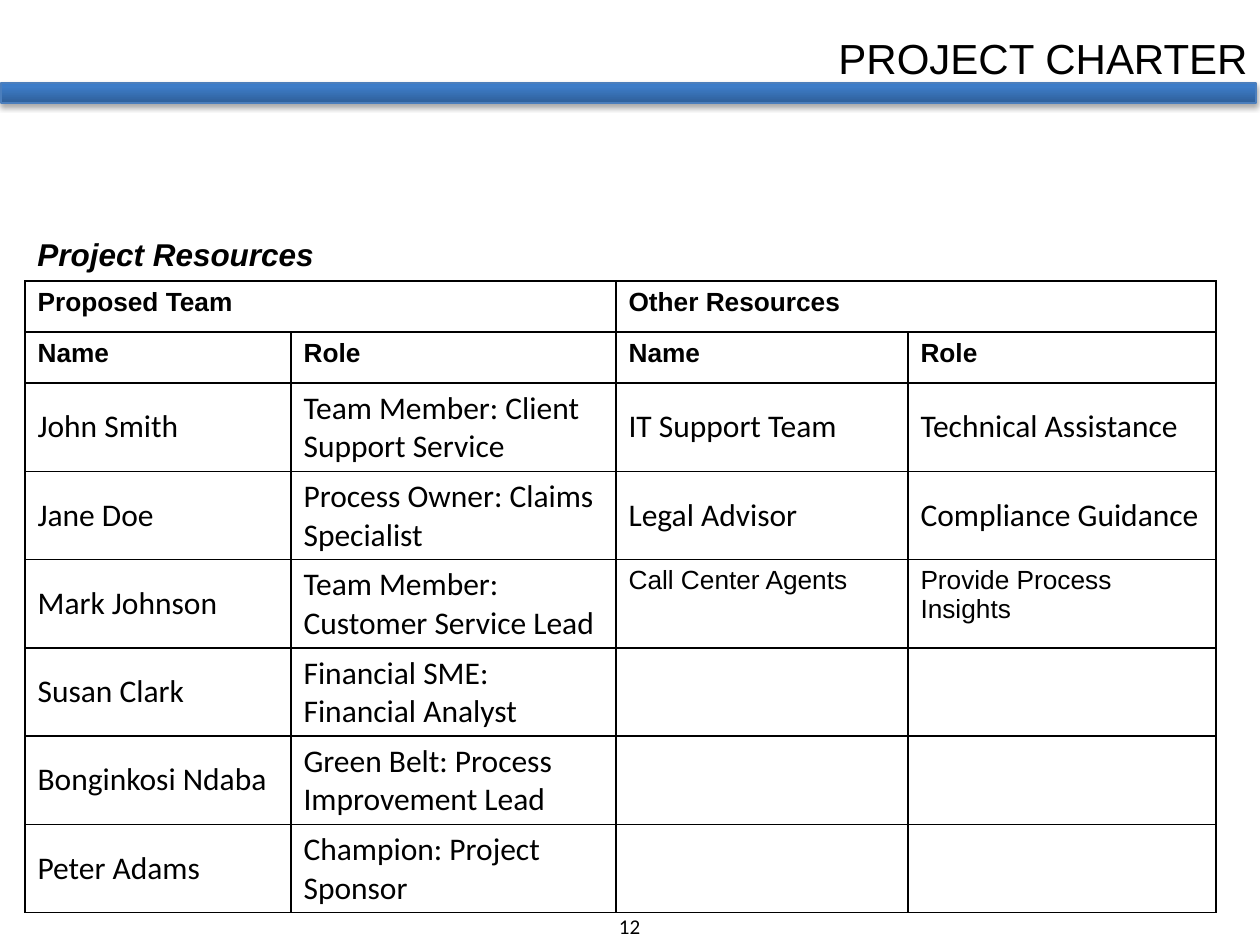
import copy
from dataclasses import dataclass

import pptx
import pptx.dml.color
import pptx.enum.shapes
import pptx.enum.text
import pptx.oxml
import pptx.oxml.ns
import pptx.util

SCALE = 914400 / 126  # EMU in one px
ALIGN = pptx.enum.text.PP_ALIGN
ANCHOR = pptx.enum.text.MSO_ANCHOR
NS = pptx.oxml.ns.nsdecls("a")


@dataclass
class Box:
    left: int
    top: int
    width: int
    height: int

    def emu(self) -> list[int]:
        return [px(n) for n in (self.left, self.top, self.width, self.height)]


@dataclass
class Style:
    font: str
    size: int
    bold: bool = False
    slant: bool = False


@dataclass
class Label:
    text: str
    box: Box
    style: Style
    align: ALIGN = ALIGN.LEFT


HEAD = Style("Arial", 15, bold=True)
BODY = Style("Calibri", 18)
SMALL = Style("Arial", 15)

LABELS = [
    Label("12", Box(590, 907, 79, 38), Style("Calibri", 12), ALIGN.CENTER),
    Label("PROJECT CHARTER", Box(610, 26, 650, 64), Style("Arial", 24), ALIGN.RIGHT),
    Label("Project Resources", Box(25, 229, 357, 51),
          Style("Arial", 18, bold=True, slant=True)),
]

BAR = Box(1, 83, 1255, 20)
STOPS = [(0, "2F5F99"), (0.8, "3D7CC7"), (1, "3A7CCB")]

GRID = Box(25, 281, 1191, 631)
COLS = [266, 325, 292, 308]
HEADS = 2
ROWS = [
    ["Proposed Team", "", "Other Resources", ""],
    ["Name", "Role", "Name", "Role"],
    ["John Smith", "Team Member: Client Support Service",
     "IT Support Team", "Technical Assistance"],
    ["Jane Doe", "Process Owner: Claims Specialist",
     "Legal Advisor", "Compliance Guidance"],
    ["Mark Johnson", "Team Member: Customer Service Lead",
     "Call Center Agents", "Provide Process Insights"],
    ["Susan Clark", "Financial SME: Financial Analyst", "", ""],
    ["Bonginkosi Ndaba", "Green Belt: Process Improvement Lead", "", ""],
    ["Peter Adams", "Champion: Project Sponsor", "", ""],
]
AGENTS = 4  # row whose right half is set small


def px(num: int) -> int:
    return round(num * SCALE)


def color(code: str) -> pptx.dml.color.RGBColor:
    return pptx.dml.color.RGBColor.from_string(code)


def write(frame, text: str, style: Style, align: ALIGN = ALIGN.LEFT) -> None:
    frame.text = text
    para = frame.paragraphs[0]
    para.alignment = align
    for run in para.runs:
        font = run.font
        font.name = style.font
        font.size = pptx.util.Pt(style.size)
        font.bold = style.bold
        font.italic = style.slant
        font.color.rgb = color("000000")


def add_label(slide, label: Label) -> None:
    frame = slide.shapes.add_textbox(*label.box.emu()).text_frame
    frame.word_wrap = True
    write(frame, label.text, label.style, label.align)


def add_bar(slide) -> None:
    kind = pptx.enum.shapes.MSO_SHAPE.RECTANGLE
    bar = slide.shapes.add_shape(kind, *BAR.emu())
    bar.line.color.rgb = color("4B7EBC")
    bar.line.width = pptx.util.Pt(0.75)
    # Gradient with a third stop, running upwards
    bar.fill.gradient()
    bar.fill.gradient_angle = 90
    stops = bar._element.spPr.find(".//" + pptx.oxml.ns.qn("a:gsLst"))
    stops.append(copy.deepcopy(stops[-1]))
    for stop, (place, code) in zip(bar.fill.gradient_stops, STOPS):
        stop.position = place
        stop.color.rgb = color(code)
    # Soft shadow below
    bar.shadow.inherit = False
    effects = bar._element.spPr.find(pptx.oxml.ns.qn("a:effectLst"))
    effects.append(pptx.oxml.parse_xml(
        f'<a:outerShdw {NS} blurRad="40000" dist="23000" dir="5400000" '
        'rotWithShape="0"><a:srgbClr val="000000"><a:alpha val="35000"/>'
        '</a:srgbClr></a:outerShdw>'))


def add_edges(cell) -> None:
    props = cell._tc.get_or_add_tcPr()
    for spot, side in enumerate("LRTB"):
        props.insert(spot, pptx.oxml.parse_xml(
            f'<a:ln{side} {NS} w="12700"><a:solidFill><a:srgbClr val="000000"/>'
            f'</a:solidFill></a:ln{side}>'))


def pick(row: int, col: int) -> Style:
    if row < HEADS:
        return HEAD
    return SMALL if row == AGENTS and col >= 2 else BODY


def add_grid(slide) -> None:
    table = slide.shapes.add_table(len(ROWS), len(COLS), *GRID.emu()).table
    table.first_row = table.horz_banding = False
    for col, width in zip(table.columns, COLS):
        col.width = px(width)
    for num, row in enumerate(table.rows):
        row.height = px(51 if num < HEADS else 88)
    for num, texts in enumerate(ROWS):
        for col, text in enumerate(texts):
            cell = table.cell(num, col)
            style = pick(num, col)
            write(cell.text_frame, text, style)
            if style is BODY and text:
                cell.vertical_anchor = ANCHOR.MIDDLE
            cell.fill.background()
            add_edges(cell)
    for col in (0, 2):
        table.cell(0, col).merge(table.cell(0, col + 1))


def main() -> None:
    deck = pptx.Presentation()
    deck.slide_width, deck.slide_height = px(1260), px(945)
    slide = deck.slides.add_slide(deck.slide_layouts[6])
    add_bar(slide)
    for label in LABELS:
        add_label(slide, label)
    add_grid(slide)
    deck.save("out.pptx")


if __name__ == "__main__":
    main()
